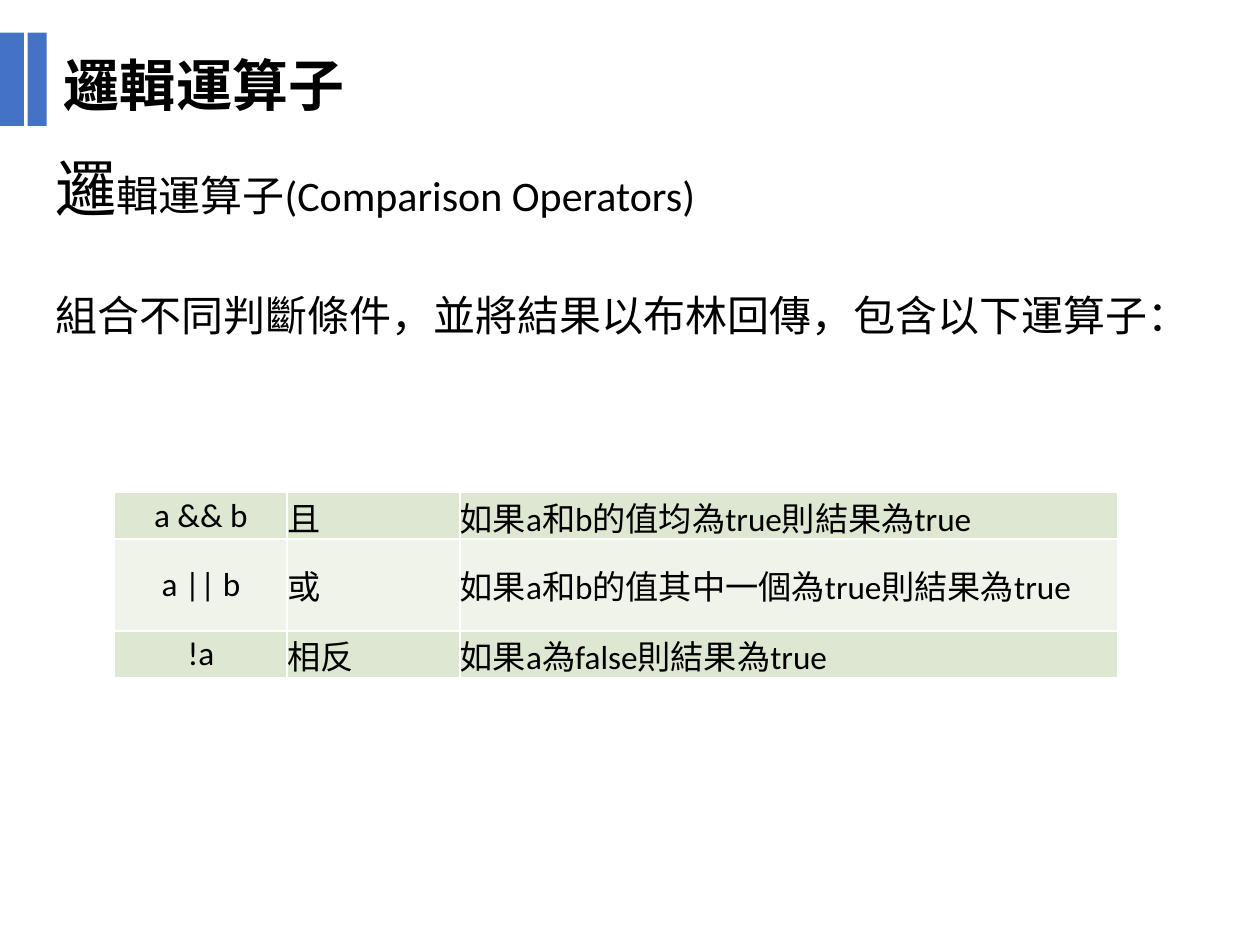
from dataclasses import dataclass

from lxml import etree
from pptx import Presentation
from pptx.dml.color import RGBColor
from pptx.enum.shapes import MSO_SHAPE
from pptx.enum.text import MSO_ANCHOR, PP_ALIGN
from pptx.oxml.ns import qn
from pptx.util import Inches, Pt

RECT = MSO_SHAPE.RECTANGLE
MIDDLE, TOP = MSO_ANCHOR.MIDDLE, MSO_ANCHOR.TOP
CENTER, LEFT = PP_ALIGN.CENTER, PP_ALIGN.LEFT


@dataclass(frozen=True)
class Theme:
    ink: str = "000000"
    blue: str = "4472C4"
    rule: str = "FFFFFF"
    bands: tuple = ("DEE7D1", "EFF3EA")
    head: int = 32
    lead: int = 35
    body: int = 24
    cell: int = 19
    sans: str = "Calibri"
    bold: str = "Arial"
    cjk: str = "Noto Sans CJK SC"


class Page:
    COLS, ROWS = 100, 75

    def __init__(self, deck, theme):
        self.theme = theme
        self.slide = deck.slides.add_slide(deck.slide_layouts[6])
        self.unit_x = deck.slide_width / self.COLS
        self.unit_y = deck.slide_height / self.ROWS

    def box(self, x, y, w, h):
        return (round(x * self.unit_x), round(y * self.unit_y),
                round(w * self.unit_x), round(h * self.unit_y))

    def style(self, run, size, face, bold=False):
        run.font.size, run.font.name, run.font.bold = Pt(size), face, bold
        run.font.color.rgb = RGBColor.from_string(self.theme.ink)

    def bar(self, home, *place):
        bar = home.shapes.add_shape(RECT, *self.box(*place))
        bar.shadow.inherit = False
        bar.fill.solid()
        bar.fill.fore_color.rgb = RGBColor.from_string(self.theme.blue)
        bar.line.fill.background()

    def text(self, home, place, parts, pad=(0.1, 0.1), after=0):
        """Each part is (words, size, face, bold)."""
        frame = home.shapes.add_textbox(*self.box(*place)).text_frame
        frame.word_wrap, frame.vertical_anchor = True, TOP
        frame.margin_left = frame.margin_right = Inches(pad[0])
        frame.margin_top = frame.margin_bottom = Inches(pad[1])
        para = frame.paragraphs[0]
        para.space_after = Pt(after)
        for words, *look in parts:
            run = para.add_run()
            run.text = words
            self.style(run, *look)

    def edge(self, cell):
        props = cell._tc.get_or_add_tcPr()
        for spot, side in enumerate(("lnL", "lnR", "lnT", "lnB")):
            line = etree.Element(qn("a:" + side), w=str(Pt(1)))
            fill = etree.SubElement(line, qn("a:solidFill"))
            etree.SubElement(fill, qn("a:srgbClr"), val=self.theme.rule)
            props.insert(spot, line)

    def table(self, place, cols, rows, data):
        x, y = place
        grid = self.slide.shapes.add_table(
            len(rows), len(cols), *self.box(x, y, sum(cols), sum(rows))).table
        grid.first_row = grid.horz_banding = False
        for col, wide in zip(grid.columns, cols):
            col.width = round(wide * self.unit_x)
        for r, (row, high) in enumerate(zip(grid.rows, rows)):
            row.height = round(high * self.unit_y)
            band = self.theme.bands[r % 2]
            for c, cell in enumerate(row.cells):
                cell.margin_left = cell.margin_right = 0
                cell.margin_top = cell.margin_bottom = 0
                cell.vertical_anchor = MIDDLE
                cell.fill.solid()
                cell.fill.fore_color.rgb = RGBColor.from_string(band)
                cell.text_frame.text = data[r][c]
                para = cell.text_frame.paragraphs[0]
                para.alignment = LEFT if c else CENTER
                self.style(para.runs[0], self.theme.cell, self.theme.sans)
                self.edge(cell)


def main():
    deck = Presentation()
    deck.slide_width, deck.slide_height = Inches(10), Inches(7.5)
    theme = Theme()
    page = Page(deck, theme)

    # Topic and explanation
    page.text(page.slide, (3.4, 10.9, 93.2, 6.3), [
        ("邏", theme.lead, theme.cjk),
        ("輯運算子", theme.body, theme.cjk),
        ("(Comparison Operators)", theme.body, theme.sans)], after=14)
    page.text(page.slide, (3.4, 22, 93.2, 37.4), [
        ("組合不同判斷條件，並將結果以布林回傳，包含以下運算子：",
         theme.body, theme.sans)], after=16)

    # Operator table
    page.table((9.1, 39.1), (13.7, 13.7, 52.2), (3.7, 7.3, 3.7), [
        ("a && b", "且", "如果a和b的值均為true則結果為true"),
        ("a || b", "或", "如果a和b的值其中一個為true則結果為true"),
        ("!a", "相反", "如果a為false則結果為true")])

    # Heading with its two bars
    head = page.slide.shapes.add_group_shape()
    for x, wide in ((0, 1.9), (2.2, 1.5)):
        page.bar(head, x, 2.6, wide, 7.4)
    page.text(head, (4.1, 3.5, 53.4, 6.4),
              [("邏輯運算子", theme.head, theme.bold, True)], pad=(0.1, 0.05))

    deck.save("out.pptx")


if __name__ == "__main__":
    main()
